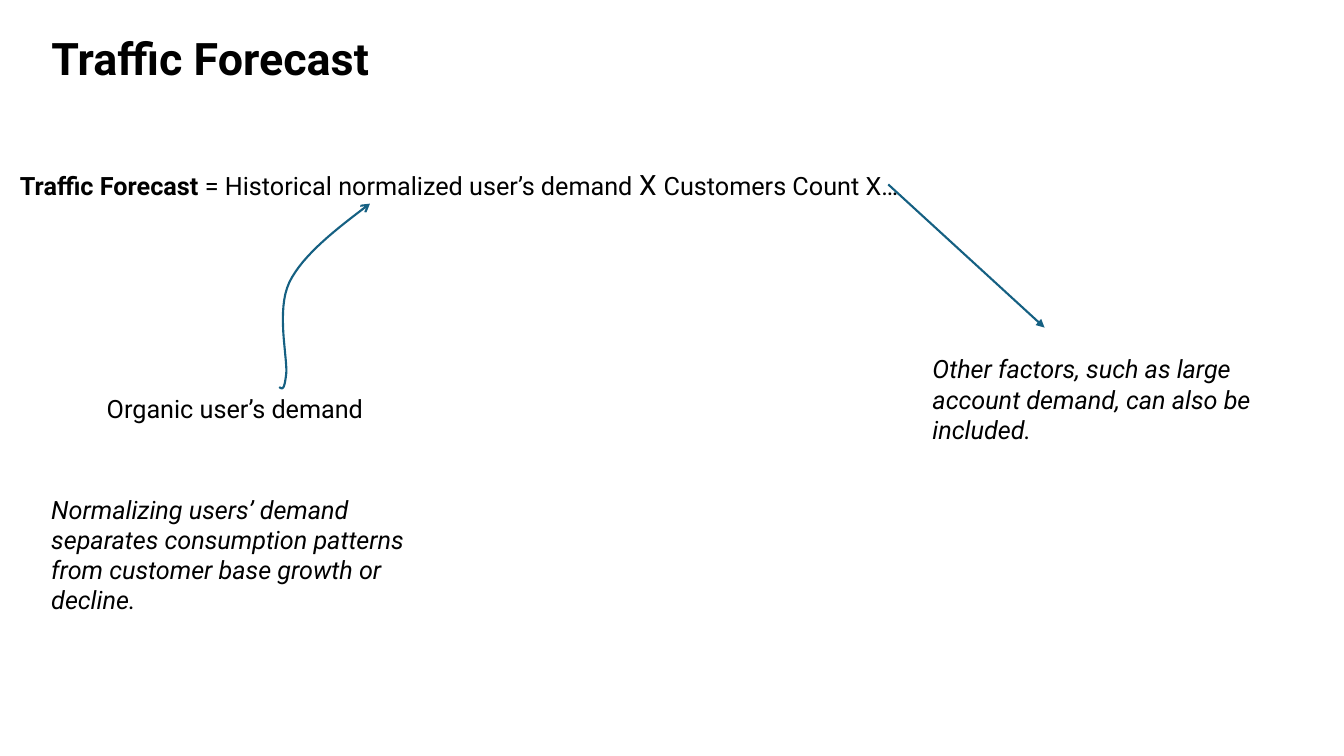
"""Build the Traffic Forecast slide with its formula and two annotated factors."""
from dataclasses import dataclass

from lxml import etree
from pptx import Presentation
from pptx.dml.color import RGBColor
from pptx.enum import shapes, text
from pptx.oxml.ns import qn
from pptx.util import Inches, Pt


@dataclass(frozen=True)
class Theme:
    font: str = "Roboto"
    ink: RGBColor = RGBColor(0x00, 0x00, 0x00)
    accent: RGBColor = RGBColor(0x15, 0x60, 0x82)
    title_size: int = 32
    times_size: int = 20
    body_size: int = 18
    line_width: float = 1.5


THEME = Theme()
HEADING = ("Traffic Forecast", (0.41, 0.25, 12.45, 0.64))
FORMULA = (
    [
        ("Traffic Forecast ", THEME.body_size, True),
        ("= Historical normalized user’s demand ", THEME.body_size, False),
        ("X ", THEME.times_size, False),
        ("Customers Count X…", THEME.body_size, False),
    ],
    (0.1, 1.61, 9.63, 0.44),
)
NOTES = [
    ("Organic user’s demand", (0.96, 3.85, 3.25, 0.4), False),
    ("Normalizing users’ demand separates consumption patterns "
     "from customer base growth or decline.", (0.41, 4.85, 3.75, 1.31), True),
    ("Other factors, such as large account demand, can also be included.",
     (9.15, 3.46, 3.75, 1.01), True),
]
DEMAND_START = (2.77, 3.84)
DEMAND_CURVES = [
    ((2.8, 3.86), (2.82, 3.88), (2.84, 3.7)),
    ((2.85, 3.53), (2.74, 3.08), (2.87, 2.8)),
    ((3.01, 2.52), (3.34, 2.27), (3.67, 2.02)),
]
FACTORS_ARROW = ((8.81, 1.83), (10.36, 3.25))
CURVE_STEPS = 16


def inches(values):
    return [Inches(value) for value in values]


def style(paragraph, size, bold=None, italic=None):
    paragraph.alignment = text.PP_ALIGN.LEFT
    font = paragraph.font
    font.name, font.size, font.bold, font.italic = THEME.font, Pt(size), bold, italic
    font.color.rgb = THEME.ink


def add_text(slide, box):
    frame = slide.shapes.add_textbox(*inches(box)).text_frame
    frame.word_wrap = True
    return frame.paragraphs[0]


def curve_points(start, curves):
    for first, second, end in curves:
        for step in range(1, CURVE_STEPS + 1):
            t = step / CURVE_STEPS
            weights = ((1 - t) ** 3, 3 * t * (1 - t) ** 2, 3 * t ** 2 * (1 - t), t ** 3)
            corners = (start, first, second, end)
            yield [Inches(sum(w * c[axis] for w, c in zip(weights, corners)))
                   for axis in (0, 1)]
        start = end


def style_arrow(arrow, head):
    arrow.line.color.rgb = THEME.accent
    arrow.line.width = Pt(THEME.line_width)
    etree.SubElement(arrow.line._get_or_add_ln(), qn("a:tailEnd"), type=head)


def main():
    prs = Presentation()
    prs.slide_width, prs.slide_height = inches((13.33, 7.5))
    slide = prs.slides.add_slide(prs.slide_layouts[5])

    heading = slide.shapes.title
    heading.left, heading.top, heading.width, heading.height = inches(HEADING[1])
    heading.text_frame.text = HEADING[0]
    heading.text_frame.auto_size = text.MSO_AUTO_SIZE.NONE
    heading.text_frame.vertical_anchor = text.MSO_ANCHOR.TOP
    style(heading.text_frame.paragraphs[0], THEME.title_size, bold=True)

    terms, formula_box = FORMULA
    formula = add_text(slide, formula_box)
    style(formula, THEME.body_size)
    for term, size, bold in terms:
        run = formula.add_run()
        run.text = term
        run.font.size, run.font.bold = Pt(size), bold

    for wording, box, italic in NOTES:
        note = add_text(slide, box)
        note.text = wording
        style(note, THEME.body_size, italic=italic)

    builder = slide.shapes.build_freeform(*inches(DEMAND_START))
    builder.add_line_segments(curve_points(DEMAND_START, DEMAND_CURVES), close=False)
    demand_arrow = builder.convert_to_shape()
    demand_arrow.fill.background()
    demand_arrow.shadow.inherit = False
    style_arrow(demand_arrow, "arrow")

    start, end = FACTORS_ARROW
    factors_arrow = slide.shapes.add_connector(
        shapes.MSO_CONNECTOR.STRAIGHT, *inches(start + end))
    style_arrow(factors_arrow, "triangle")
    etree.SubElement(factors_arrow._element.spPr, qn("a:effectLst"))

    prs.save("out.pptx")


if __name__ == "__main__":
    main()
